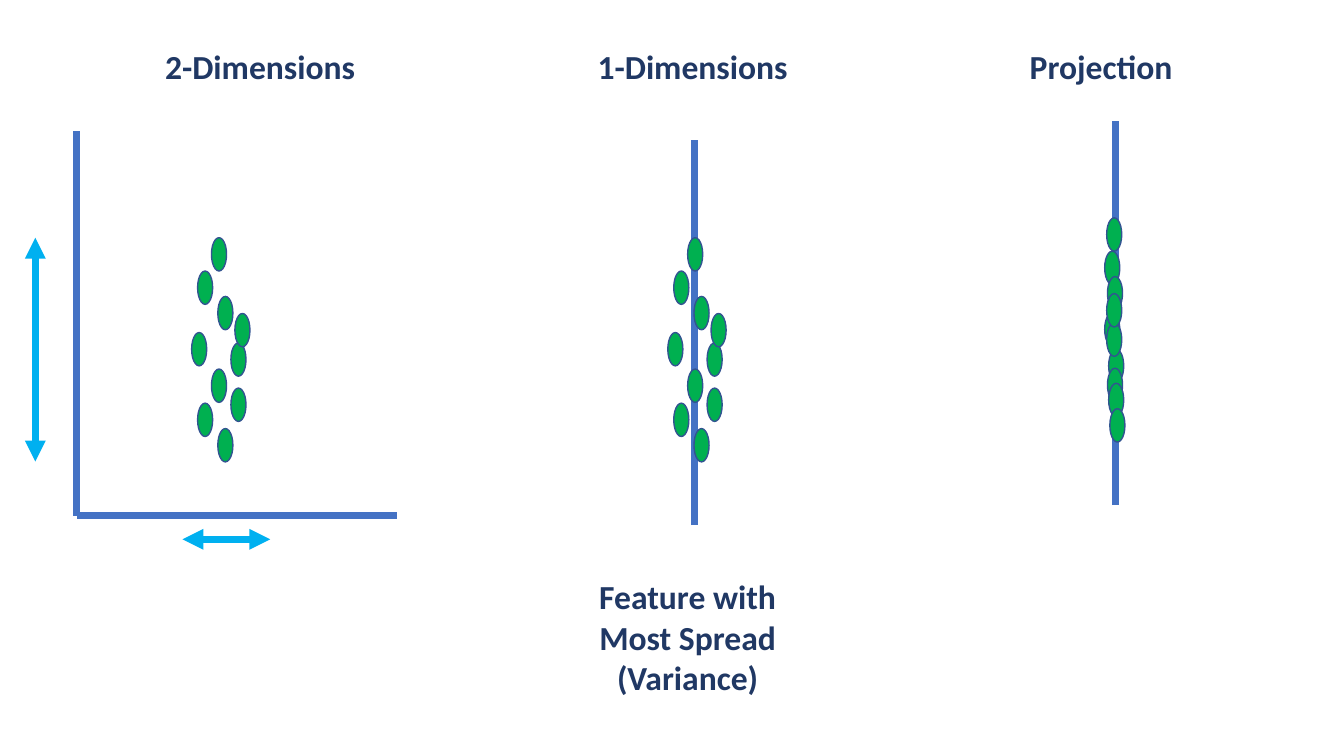
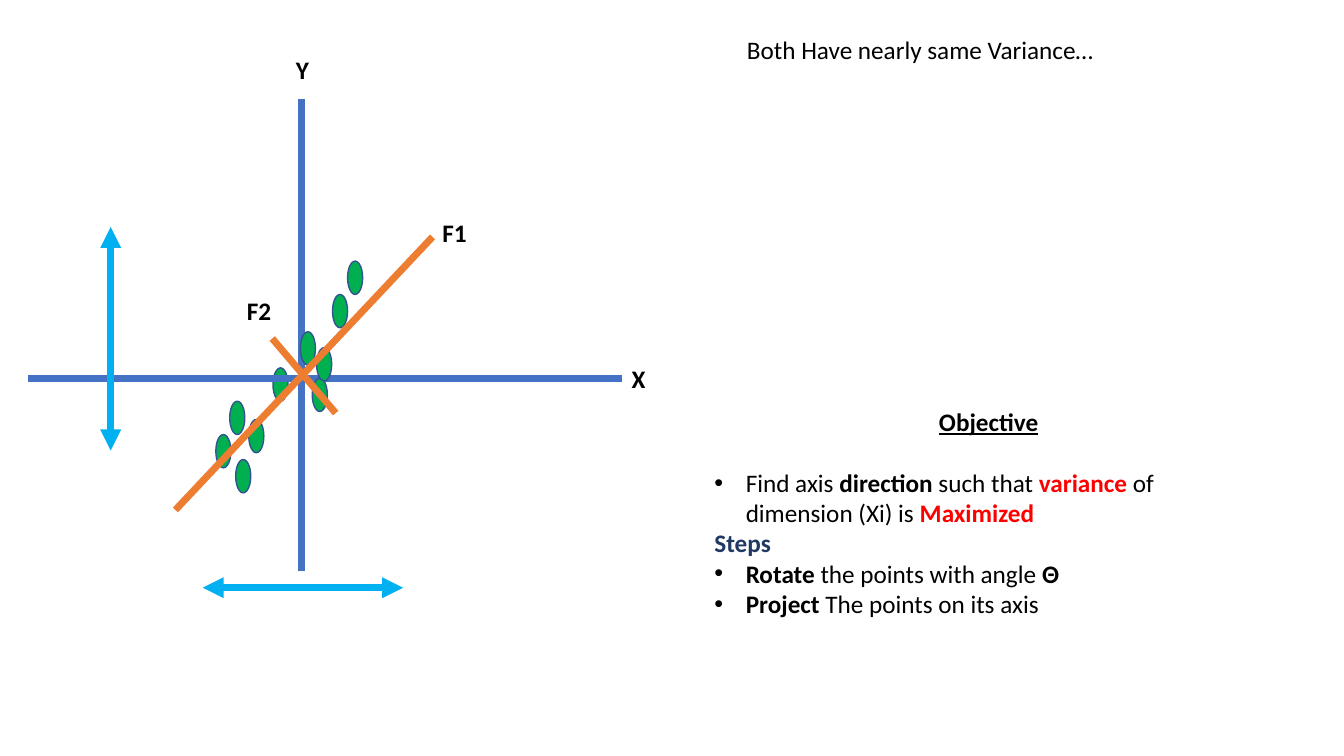
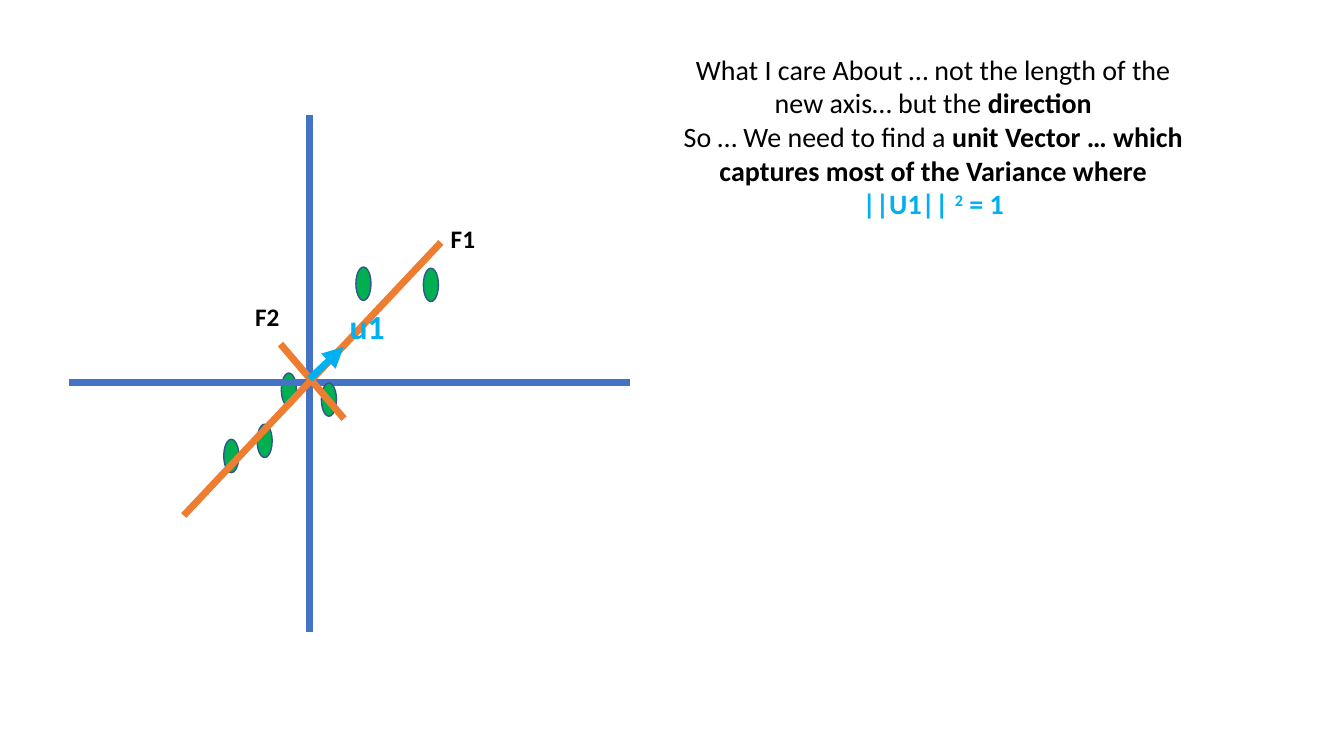
from dataclasses import dataclass

from lxml import etree
from pptx import Presentation
from pptx.dml.color import RGBColor
from pptx.enum.shapes import MSO_CONNECTOR, MSO_SHAPE
from pptx.enum.text import MSO_ANCHOR, MSO_AUTO_SIZE, PP_ALIGN
from pptx.oxml.ns import qn
from pptx.util import Cm, Pt

STRAIGHT = MSO_CONNECTOR.STRAIGHT
OVAL = MSO_SHAPE.OVAL
TOP = MSO_ANCHOR.TOP
FIXED = MSO_AUTO_SIZE.NONE
LEFT, CENTER = PP_ALIGN.LEFT, PP_ALIGN.CENTER
LIST, BLANK = 1, 6  # layout numbers


@dataclass(frozen=True)
class Theme:
    """Colours, font, type sizes and line widths of the deck."""
    font: str = "Calibri"
    ink: str = "000000"
    navy: str = "203864"
    axis: str = "4472C4"
    sky: str = "00B0F0"
    dot: str = "00B050"
    rim: str = "325491"
    feature: str = "ED7D31"
    alert: str = "FF0000"
    head: int = 24
    note: int = 20
    body: int = 18
    thick: int = 5
    thin: int = 1


THEME = Theme()
DOT = (0.38, 0.84)
INDENT = 0.79

# Left and top of each dot, in cm
TALL = [(5.33, 5.99), (4.83, 8.38), (4.98, 6.83), (5.49, 7.47), (5.33, 9.3),
        (5.82, 9.78), (4.98, 10.16), (5.49, 10.8), (5.82, 8.64), (5.92, 7.9)]
FLAT = [27.89, 27.84, 27.84, 27.91, 27.94, 27.91, 27.94, 27.97, 27.89, 27.89]
SLOPE = [(8.76, 6.58), (6.88, 9.27), (8.38, 7.42), (7.57, 8.36), (5.79, 10.11),
         (6.27, 10.57), (5.44, 10.95), (5.94, 11.58)]
NEAR = [(7.87, 9.53), (7.98, 8.76)]
SPARSE = [(8.97, 6.73), (7.09, 9.4), (10.67, 6.76), (6.48, 10.69), (5.64, 11.07)]


def rgb(code):
    """Return the colour for a hex code."""
    return RGBColor.from_string(code)


def line(slide, start, end, color, head=False, tail=False):
    """Draw a thick line, with an arrowhead at either end if asked."""
    item = slide.shapes.add_connector(STRAIGHT, *map(Cm, start + end))
    item.line.color.rgb = rgb(color)
    item.line.width = Pt(THEME.thick)
    props = item._element.spPr
    for tag, wanted in (("a:headEnd", head), ("a:tailEnd", tail)):
        if wanted:
            etree.SubElement(props.find(qn("a:ln")), qn(tag), type="triangle")
    etree.SubElement(props, qn("a:effectLst"))


def span(slide, start, end):
    """Draw a double arrow that shows a spread."""
    line(slide, start, end, THEME.sky, head=True, tail=True)


def dots(slide, points, dx=0, dy=0):
    """Draw data points, shifted by dx and dy."""
    for x, y in points:
        item = slide.shapes.add_shape(OVAL, *map(Cm, (x + dx, y + dy) + DOT))
        item.shadow.inherit = False
        item.fill.solid()
        item.fill.fore_color.rgb = rgb(THEME.dot)
        item.line.color.rgb = rgb(THEME.rim)
        item.line.width = Pt(THEME.thin)


def place(shape, box, wrap=True):
    """Put a text shape in its box and return its frame."""
    shape.left, shape.top, shape.width, shape.height = map(Cm, box)
    frame = shape.text_frame
    frame.auto_size = FIXED
    frame.word_wrap = wrap
    frame.vertical_anchor = TOP
    return frame


def write(para, parts, size, color=THEME.ink, bold=False, align=LEFT):
    """Fill a paragraph with (text, bold, colour) parts or one string."""
    para.alignment = align
    para.space_before = Pt(0)
    font = para.font
    font.name, font.size, font.bold = THEME.font, Pt(size), bold
    font.color.rgb = rgb(color)
    if isinstance(parts, str):
        parts = [(parts, bold, color)]
    for text, strong, tint in parts:
        run = para.add_run()
        run.text = text
        if strong != bold:
            run.font.bold = strong
        if tint != color:
            run.font.color.rgb = rgb(tint)


def label(slide, text, box, size=THEME.body, color=THEME.ink, align=LEFT,
          wrap=False):
    """Add a bold text box."""
    frame = place(slide.shapes.add_textbox(0, 0, 0, 0), box, wrap)
    write(frame.paragraphs[0], text, size, color, True, align)


def heading(slide, text, box, align=LEFT):
    """Add a large navy heading."""
    label(slide, text, box, THEME.head, THEME.navy, align, True)


def bullet(para, shown):
    """Give a body paragraph a hanging bullet, or take the bullet away."""
    props = para._p.get_or_add_pPr()
    inset = Cm(INDENT) if shown else 0
    props.set("marL", str(inset))
    props.set("indent", str(-inset))
    if shown:
        etree.SubElement(props, qn("a:buFont"), typeface="Arial")
        etree.SubElement(props, qn("a:buChar"), char="•")
    else:
        etree.SubElement(props, qn("a:buNone"))


def rows(frame, count):
    """Return the given number of paragraphs of an empty frame."""
    return [frame.paragraphs[0]] + [frame.add_paragraph() for _ in range(count - 1)]


def features(slide, dx=0, dy=0):
    """Draw the rotated axes F1 and F2 with their labels."""
    for name, start, end, spot in (
            ("F1", (4.42, 12.85), (10.9, 5.97), (10.9, 5.36)),
            ("F2", (8.46, 10.41), (6.86, 8.53), (5.97, 7.32))):
        (ax, ay), (bx, by), (x, y) = start, end, spot
        line(slide, (ax + dx, ay + dy), (bx + dx, by + dy), THEME.feature)
        label(slide, name, (x + dx, y + dy, 1.14, 1.02))


def spread(deck):
    """Build the slide on reducing two dimensions to one."""
    slide = deck.slides.add_slide(deck.slide_layouts[BLANK])
    line(slide, (1.93, 13), (1.93, 3.3), THEME.axis)
    line(slide, (1.93, 13), (10.01, 13), THEME.axis)
    dots(slide, TALL)
    line(slide, (17.5, 13.23), (17.5, 3.53), THEME.axis)
    dots(slide, TALL, dx=12)
    line(slide, (28.12, 12.73), (28.12, 3.05), THEME.axis)
    dots(slide, [(x, y) for x, (_, y) in zip(FLAT, TALL)], dy=-0.5)
    span(slide, (4.6, 13.59), (6.81, 13.59))
    span(slide, (0.89, 11.63), (0.89, 5.99))
    for text, left in (("2-Dimensions", 3.91), ("1-Dimensions", 14.81),
                       ("Projection", 25.7)):
        heading(slide, text, (left, 1.02, 5.66, 1.27))
    heading(slide, "Feature with Most Spread (Variance)",
            (14.5, 14.4, 5.66, 3.33), CENTER)


def goal(slide):
    """Fill the body with the objective and the steps."""
    ink, red = THEME.ink, THEME.alert
    frame = place(slide.placeholders[1], (17.75, 10.11, 14.33, 5.64))
    top, aim, steps, turn, cast = paras = rows(frame, 5)
    for para in paras:
        bullet(para, para not in (top, steps))
    write(top, "Objective", THEME.body, bold=True, align=CENTER)
    top.runs[0].font.underline = True
    top.space_after = Pt(22)
    write(aim, [("Find axis ", False, ink), ("direction", True, ink),
                (" such that ", False, ink), ("variance", True, red),
                (" of dimension (Xi) is ", False, ink),
                ("Maximized", True, red)], THEME.body)
    write(steps, "Steps", THEME.body, THEME.navy, True)
    write(turn, [("Rotate", True, ink), (" the points with angle ", False, ink),
                 ("Θ", True, ink)], THEME.body)
    write(cast, [("Project", True, ink), (" The points on its axis", False, ink)],
          THEME.body)


def rotate(deck):
    """Build the slide on rotating the axes."""
    slide = deck.slides.add_slide(deck.slide_layouts[LIST])
    frame = place(slide.shapes.title, (18.57, 0.74, 9.35, 1.02), False)
    write(frame.paragraphs[0], "Both Have nearly same Variance…", THEME.body)
    goal(slide)
    line(slide, (7.59, 14.4), (7.59, 2.49), THEME.axis)
    dots(slide, SLOPE)
    line(slide, (0.71, 9.53), (15.67, 9.53), THEME.axis)
    dots(slide, NEAR)
    span(slide, (2.79, 11.35), (2.79, 5.72))
    span(slide, (5.11, 14.81), (10.16, 14.81))
    features(slide)
    label(slide, "X", (15.67, 9.02, 0.86, 1.02))
    label(slide, "Y", (7.21, 1.24, 0.86, 1.02))


def unit(deck):
    """Build the slide on the unit vector."""
    slide = deck.slides.add_slide(deck.slide_layouts[BLANK])
    box = slide.shapes.add_textbox(0, 0, 0, 0)
    care, find, norm = rows(place(box, (16.94, 1.19, 13.16, 4.52)), 3)
    ink, sky = THEME.ink, THEME.sky
    write(care, [("What I care About … not the length of the new axis… but the ",
                  False, ink), ("direction", True, ink)], THEME.note, align=CENTER)
    write(find, [("So … We need to find a ", False, ink),
                 ("unit Vector … which captures most of the Variance where",
                  True, ink)], THEME.note, align=CENTER)
    write(norm, [(text, True, sky) for text in ("||U1|| ", "2", " = 1")],
          THEME.note, sky, True, CENTER)
    norm.runs[1]._r.get_or_add_rPr().set("baseline", "30000")
    line(slide, (7.8, 15.93), (7.8, 2.9), THEME.axis)
    dots(slide, SPARSE)
    line(slide, (1.75, 9.65), (15.88, 9.65), THEME.axis)
    dots(slide, [(8.1, 9.65)])
    features(slide, 0.21, 0.14)
    line(slide, (7.8, 9.55), (8.66, 8.74), sky, tail=True)
    label(slide, "u1", (8.56, 7.59, 1.52, 1.27), THEME.head, sky, wrap=True)


def main():
    """Build and save the deck."""
    deck = Presentation()
    deck.slide_width, deck.slide_height = Cm(33.87), Cm(19.05)
    for build in (spread, rotate, unit):
        build(deck)
    deck.save("out.pptx")


main()
